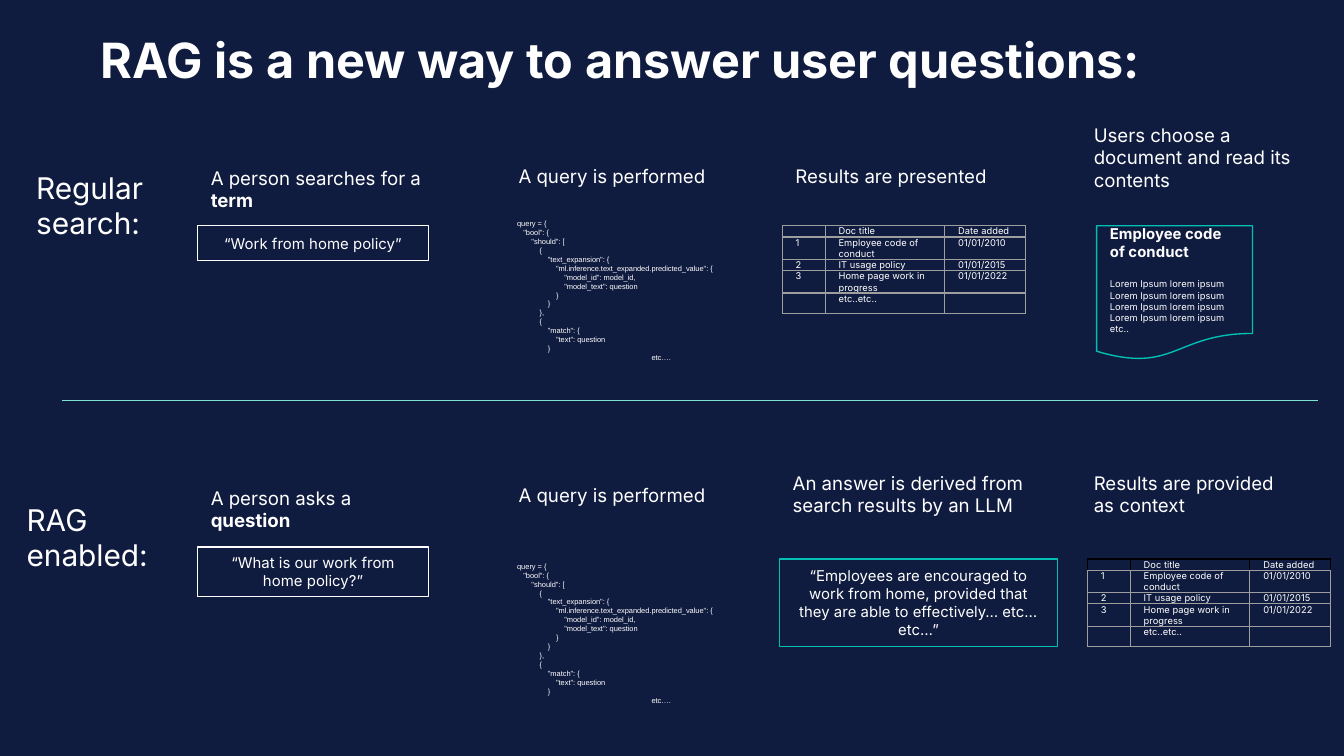
from lxml.etree import SubElement
from pptx import Presentation
from pptx.dml.color import RGBColor
from pptx.enum.shapes import MSO_CONNECTOR, MSO_SHAPE as SHAPE
from pptx.enum.text import MSO_ANCHOR as ANCHOR, MSO_AUTO_SIZE as AUTO, PP_ALIGN as ALIGN
from pptx.oxml.ns import qn
from pptx.util import Inches, Pt

NAVY, WHITE, GREY, BLACK = "101C3F", "FFFFFF", "9E9E9E", "000000"
TEAL, MINT = "00BFB3", "7DE2D1"
ASK, QUERY, RESULT, READ = 1.47, 3.76, 5.82, 8.04
INSET, LINE_WIDTH = 0.1, 0.75
TABLE_COLUMNS = (0.32, 0.89, 0.6)
TABLE_ROWS = (0.08, 0.08, 0.08, 0.08, 0.15)

CODE = '''query = {
   "bool": {
       "should": [
           {
               "text_expansion": {
                   "ml.inference.text_expanded.predicted_value": {
                       "model_id": model_id,
                       "model_text": question
                   }
               }
           },
           {
               "match": {
                   "text": question
               }'''.split("\n")

DOCUMENTS = (
    ("", "Doc title", "Date added"),
    ("1", "Employee code of conduct", "01/01/2010"),
    ("2", "IT usage policy", "01/01/2015"),
    ("3", "Home page work in progress", "01/01/2022"),
    ("", "etc..etc..", ""),
)


def color(value):
    """Turn a hex string into a colour."""
    return RGBColor.from_string(value)


def inches(*lengths):
    """Turn numbers into lengths in inches."""
    return [Inches(length) for length in lengths]


def style(paragraph, size, bold=False, font="Inter"):
    """Set the white font of a whole paragraph."""
    paragraph.font.name = font
    paragraph.font.size = Pt(size)
    paragraph.font.bold = bold
    paragraph.font.color.rgb = color(WHITE)


def set_insets(frame, inset, anchor):
    """Wrap a text frame and set its insets and anchor."""
    frame.word_wrap = True
    frame.margin_left, frame.margin_top, frame.margin_right, frame.margin_bottom = inches(*[inset] * 4)
    frame.vertical_anchor = anchor


def write(frame, lines, size, align=ALIGN.LEFT, font="Inter"):
    """Write one paragraph per line and return the paragraphs."""
    for index, line in enumerate(lines):
        para = frame.paragraphs[0] if index == 0 else frame.add_paragraph()
        para.add_run().text = line
        para.alignment = align
        style(para, size, font=font)
    return frame.paragraphs


def add_title(page, text):
    """Fill and place the title."""
    title = page.shapes.title
    title.left, title.top, title.width, title.height = inches(0.75, 0.22, 7.91, 0.48)
    frame = title.text_frame
    set_insets(frame, 0, ANCHOR.TOP)
    frame.auto_size = AUTO.NONE
    write(frame, [text], 26)[0].font.bold = True


def add_text(page, area, lines, size, font="Inter"):
    """Add a text box and return its paragraphs."""
    frame = page.shapes.add_textbox(*inches(*area)).text_frame
    set_insets(frame, INSET, ANCHOR.TOP)
    frame.auto_size = AUTO.SHAPE_TO_FIT_TEXT
    return write(frame, lines, size, font=font)


def add_label(page, area, text, strong=""):
    """Add a step label with an optional bold ending."""
    para = add_text(page, area, [text], 10)[0]
    if strong:
        span = para.add_run()
        span.text = strong
        span.font.bold = True


def add_box(page, kind, area, line, lines, size=8, align=ALIGN.CENTER):
    """Add an outlined shape with text and return it."""
    box = page.shapes.add_shape(kind, *inches(*area))
    box.shadow.inherit = False
    box.fill.background()
    box.line.color.rgb = color(line)
    box.line.width = Pt(LINE_WIDTH)
    set_insets(box.text_frame, INSET, ANCHOR.MIDDLE)
    write(box.text_frame, lines, size, align)
    return box


def add_code(page, top):
    """Add the query listing with its indented ending."""
    ending = add_text(page, (QUERY - 0.01, top, 1.77, 1.35), CODE + ["etc…."], 4, "Arial")[-1]
    properties = ending._p.get_or_add_pPr()
    for name in ("marL", "indent"):
        properties.set(name, str(Inches(0.5)))


def add_document(page, area):
    """Add the sheet with a bold heading above its body."""
    body = ["Lorem Ipsum lorem ipsum"] * 3 + ["Lorem Ipsum lorem ipsum etc.."]
    sheet = add_box(page, SHAPE.FLOWCHART_DOCUMENT, area, TEAL,
                    ["Employee code of conduct"] + body, 5, ALIGN.LEFT)
    sheet.fill.solid()
    sheet.fill.fore_color.rgb = color(NAVY)
    heading, first = sheet.text_frame.paragraphs[:2]
    style(heading, 8, bold=True)
    first.space_before = Pt(9.7)


def set_borders(cell, frame_color):
    """Draw the four cell borders, the bottom one always grey."""
    properties = cell._tc.get_or_add_tcPr()
    for index, side in enumerate("LRTB"):
        border = SubElement(properties, qn(f"a:ln{side}"), w=str(Pt(LINE_WIDTH)))
        fill = SubElement(border, qn("a:solidFill"))
        SubElement(fill, qn("a:srgbClr"), val=GREY if side == "B" else frame_color)
        properties.insert(index, border)


def add_documents(page, left, top, header_color):
    """Add the table of found documents."""
    area = inches(left, top, sum(TABLE_COLUMNS), sum(TABLE_ROWS))
    table = page.shapes.add_table(len(TABLE_ROWS), len(TABLE_COLUMNS), *area).table
    table.first_row = table.horz_banding = False
    for column, width in zip(table.columns, TABLE_COLUMNS):
        column.width = Inches(width)
    for index, (row, height, texts) in enumerate(zip(table.rows, TABLE_ROWS, DOCUMENTS)):
        row.height = Inches(height)
        for cell, text in zip(row.cells, texts):
            cell.fill.background()
            cell.margin_left = Inches(INSET)
            cell.margin_top = cell.margin_right = cell.margin_bottom = 0
            set_borders(cell, GREY if index else header_color)
            if text:
                write(cell.text_frame, [text], 5)
            else:
                SubElement(cell.text_frame.paragraphs[0]._p, qn("a:endParaRPr"), sz="500")


def add_divider(page, left, right, top):
    """Add the line between the two halves."""
    line = page.shapes.add_connector(MSO_CONNECTOR.STRAIGHT, *inches(left, top, right, top))
    line.line.color.rgb = color(MINT)
    line.line.width = Pt(LINE_WIDTH)
    SubElement(line._element.spPr, qn("a:effectLst"))


def add_regular_search(page):
    """Add the upper half."""
    add_text(page, (0.17, 1.16, 1.02, 0.74), ["Regular search:"], 16)
    add_box(page, SHAPE.RECTANGLE, (ASK, 1.68, 1.72, 0.26), WHITE, ["“Work from home policy”"])
    add_label(page, (ASK, 1.14, 1.85, 0.54), "A person searches for a ", "term")
    add_label(page, (QUERY, 1.14, 1.85, 0.37), "A query is performed")
    add_code(page, 1.53)
    add_label(page, (RESULT, 1.14, 1.72, 0.37), "Results are presented")
    add_documents(page, RESULT, 1.68, GREY)
    add_label(page, (READ, 0.82, 1.85, 0.71), "Users choose a document and read its contents")
    add_document(page, (8.16, 1.68, 1.16, 1))


def add_rag_search(page):
    """Add the lower half."""
    add_text(page, (0.1, 3.63, 1.16, 0.74), ["RAG enabled:"], 16)
    add_box(page, SHAPE.RECTANGLE, (ASK, 4.07, 1.72, 0.37), WHITE,
            ["“What is our work from home policy?”"])
    add_label(page, (ASK, 3.52, 1.85, 0.54), "A person asks a ", "question")
    add_label(page, (QUERY, 3.52, 1.85, 0.37), "A query is performed")
    add_code(page, 4.08)
    add_label(page, (READ, 3.41, 1.72, 0.54), "Results are provided as context")
    add_documents(page, 8.09, 4.16, BLACK)
    add_label(page, (5.8, 3.41, 2.1, 0.54), "An answer is derived from search results by an LLM")
    add_box(page, SHAPE.RECTANGLE, (5.8, 4.16, 2.07, 0.65), TEAL,
            ["“Employees are encouraged to work from home, provided that "
             "they are able to effectively… etc…etc…”"])


def main():
    """Build and save the slide."""
    deck = Presentation()
    deck.slide_width, deck.slide_height = inches(10, 10 * 9 / 16)
    page = deck.slides.add_slide(deck.slide_layouts[5])
    page.background.fill.solid()
    page.background.fill.fore_color.rgb = color(NAVY)
    add_title(page, "RAG is a new way to answer user questions:")
    add_regular_search(page)
    add_rag_search(page)
    add_divider(page, 0.46, 9.81, 2.98)
    deck.save("out.pptx")


if __name__ == "__main__":
    main()
